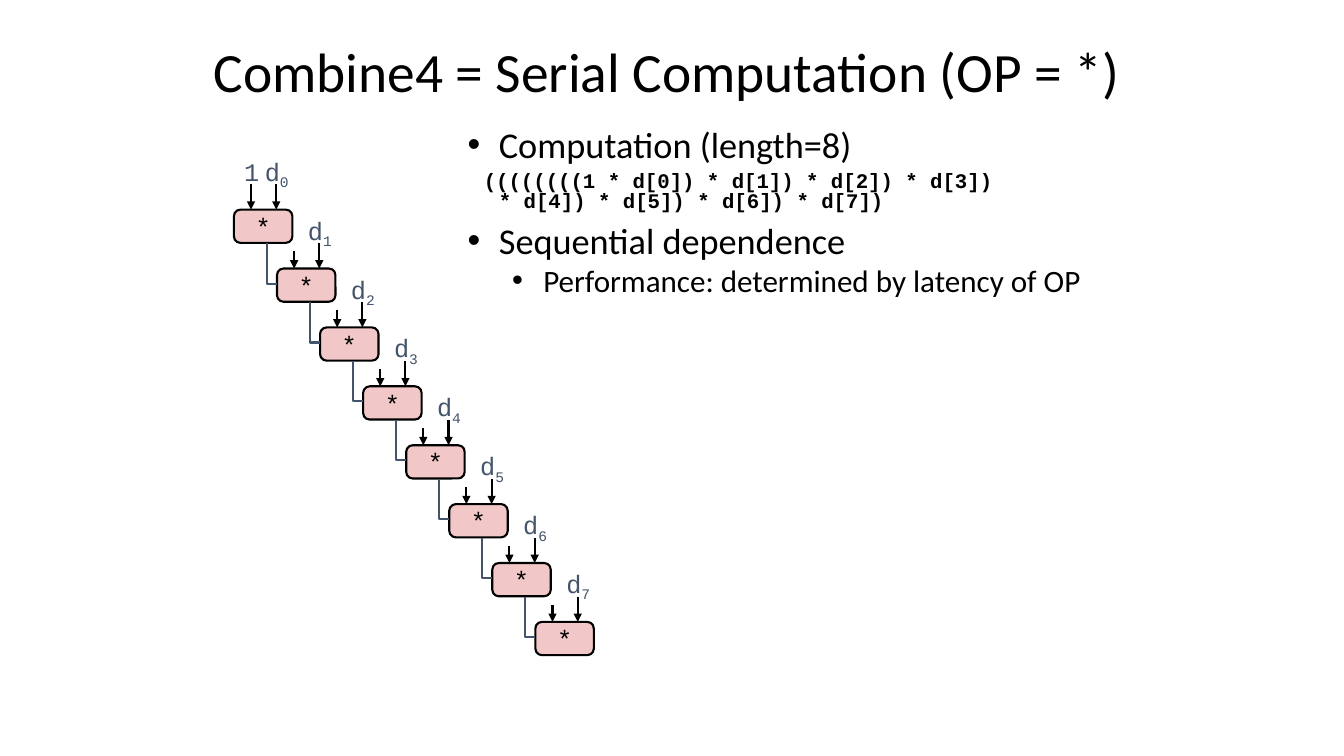
from dataclasses import dataclass

from lxml import etree
from pptx import Presentation
from pptx.dml.color import RGBColor
from pptx.enum.shapes import MSO_CONNECTOR, MSO_SHAPE
from pptx.enum.text import MSO_ANCHOR, MSO_AUTO_SIZE, PP_ALIGN
from pptx.oxml.ns import qn
from pptx.util import Inches, Pt

LEFT, CENTER = PP_ALIGN.LEFT, PP_ALIGN.CENTER
MIDDLE = MSO_ANCHOR.MIDDLE
NO_FIT = MSO_AUTO_SIZE.NONE
ROUNDED = MSO_SHAPE.ROUNDED_RECTANGLE
STRAIGHT = MSO_CONNECTOR.STRAIGHT


@dataclass(frozen=True)
class Theme:
    """Colours, fonts and type sizes of the slide."""
    black: RGBColor = RGBColor(0x00, 0x00, 0x00)
    slate: RGBColor = RGBColor(0x44, 0x54, 0x6A)
    pink: RGBColor = RGBColor(0xF1, 0xC7, 0xC7)
    body_font: str = "Calibri"
    code_font: str = "Courier New"
    title: float = 39.6
    heading: float = 25.9
    detail: float = 22.2
    code: float = 14.8
    code_lead: float = 12.9
    diagram: float = 18
    line: float = 1.5


THEME = Theme()

STEPS = 8
FIRST_LEFT, FIRST_TOP = 2.32, 2.08
STEP_X, STEP_Y = 2.99 / (STEPS - 1), 4.09 / (STEPS - 1)
BOX_WIDTH, BOX_HEIGHT = 0.58, 0.33
RESULT_X, OPERAND_X = 0.17, 0.42  # arrow offsets from the left of a box


def write(paragraph, text, size, font=THEME.body_font, color=THEME.black,
          bold=False, baseline=None):
    """Append formatted text; a newline becomes a line break."""
    for index, line in enumerate(text.split("\n")):
        if index:
            paragraph.add_line_break()
        run = paragraph.add_run()
        run.text = line
        run.font.size = Pt(size)
        run.font.name = font
        run.font.bold = bold
        run.font.color.rgb = color
        if baseline is not None:
            run.font._element.set("baseline", str(baseline * 1000))


def format_paragraph(paragraph, margin, indent, before, level=0, bullet=None):
    """Set indents, spacing and the bullet of a body paragraph."""
    paragraph.level = level
    paragraph.line_spacing = 0.8
    paragraph.space_before = Pt(before)
    properties = paragraph._p.get_or_add_pPr()
    properties.set("marL", str(Inches(margin)))
    properties.set("indent", str(Inches(indent)))
    if bullet:
        font = etree.SubElement(properties, qn("a:buFont"))
        font.set("typeface", "Arial")
        etree.SubElement(properties, qn("a:buChar")).set("char", bullet)
    else:
        etree.SubElement(properties, qn("a:buNone"))


def add_title(slide, text):
    """Place and fill the title placeholder."""
    title = slide.shapes.title
    title.left, title.top = Inches(2.02), Inches(0.31)
    title.width, title.height = Inches(9.48), Inches(0.85)
    frame = title.text_frame
    frame.auto_size = NO_FIT
    frame.vertical_anchor = MIDDLE
    paragraph = frame.paragraphs[0]
    paragraph.alignment = LEFT
    paragraph.line_spacing = 0.9
    write(paragraph, text, THEME.title)


def add_explanation(slide):
    """Add the bulleted explanation with its expression."""
    frame = slide.shapes.add_textbox(
        Inches(4.54), Inches(1.25), Inches(6.96), Inches(1.83)).text_frame
    frame.word_wrap = True
    computation = frame.paragraphs[0]
    expression, dependence, performance = (
        frame.add_paragraph() for _ in range(3))

    for heading, text in ((computation, "Computation (length=8)"),
                          (dependence, "Sequential dependence")):
        format_paragraph(heading, 0.31, -0.31, 10, bullet="•")
        write(heading, text, THEME.heading)

    format_paragraph(expression, 0.31, -0.19, 5, level=1)
    write(expression, " ", THEME.code_lead, bold=True)
    write(expression, "((((((((1 * d[0]) * d[1]) * d[2]) * d[3]) \n"
          "* d[4]) * d[5]) * d[6]) * d[7])",
          THEME.code, font=THEME.code_font, bold=True)

    format_paragraph(performance, 0.75, -0.31, 5, level=1, bullet="•")
    write(performance, "Performance: determined by latency of OP", THEME.detail)


def add_operation(slide, left, top):
    """Add a rounded box holding the multiplication sign."""
    box = slide.shapes.add_shape(ROUNDED, Inches(left), Inches(top),
                                 Inches(BOX_WIDTH), Inches(BOX_HEIGHT))
    box.adjustments[0] = 0.196
    box.shadow.inherit = False
    box.fill.solid()
    box.fill.fore_color.rgb = THEME.pink
    box.line.color.rgb = THEME.black
    box.line.width = Pt(THEME.line)
    frame = box.text_frame
    frame.word_wrap = False
    frame.vertical_anchor = MIDDLE
    frame.paragraphs[0].alignment = CENTER
    write(frame.paragraphs[0], "*", THEME.diagram, font=THEME.code_font)


def add_arrow(slide, x, bottom, length):
    """Add an arrow pointing down to the given bottom."""
    arrow = slide.shapes.add_connector(
        STRAIGHT, Inches(x), Inches(bottom - length), Inches(x), Inches(bottom))
    arrow.line.color.rgb = THEME.black
    arrow.line.width = Pt(THEME.line)
    head = etree.SubElement(arrow.line._get_or_add_ln(), qn("a:tailEnd"))
    head.set("type", "triangle")
    etree.SubElement(arrow._element.spPr, qn("a:effectLst"))


def add_elbow(slide, left, top):
    """Add the open path that carries a result into the next box."""
    right, bottom = Inches(left + 0.1), Inches(top + 0.4)
    builder = slide.shapes.build_freeform(Inches(left), Inches(top))
    builder.add_line_segments(
        [(Inches(left), bottom), (right, bottom)], close=False)
    elbow = builder.convert_to_shape()
    elbow.shadow.inherit = False
    elbow.fill.background()
    elbow.line.color.rgb = THEME.slate
    elbow.line.width = Pt(THEME.line)


def add_operand(slide, left, top, width, name, subscript=None):
    """Add an operand label with an optional subscript."""
    frame = slide.shapes.add_textbox(
        Inches(left), Inches(top), Inches(width), Inches(0.4)).text_frame
    frame.word_wrap = True
    frame.margin_left = frame.margin_right = Inches(0.05)
    frame.margin_top = frame.margin_bottom = Inches(0.05)
    label = frame.paragraphs[0]
    label.alignment = CENTER
    style = {"font": THEME.code_font, "color": THEME.slate}
    write(label, name, THEME.diagram, **style)
    if subscript is not None:
        write(label, str(subscript), THEME.diagram, baseline=-25, **style)


def add_step(slide, index):
    """Add one multiplication with its two inputs."""
    left = FIRST_LEFT + index * STEP_X
    top = FIRST_TOP + index * STEP_Y
    add_operation(slide, left, top)
    add_arrow(slide, left + RESULT_X, top, 0.17 if index else 0.25)
    add_arrow(slide, left + OPERAND_X, top, 0.25)
    if index:
        add_elbow(slide, left - 0.1, top - 0.25)
    else:
        add_operand(slide, left + 0.05, top - 0.58, 0.25, "1")
    add_operand(slide, left + 0.25, top - 0.58, 0.35, "d", index)


def main():
    """Build and save the slide."""
    deck = Presentation()
    deck.slide_width, deck.slide_height = Inches(13.33), Inches(7.5)
    slide = deck.slides.add_slide(deck.slide_layouts[5])
    add_title(slide, "Combine4 = Serial Computation (OP = *)")
    add_explanation(slide)
    for index in range(STEPS):
        add_step(slide, index)
    deck.save("out.pptx")


main()
